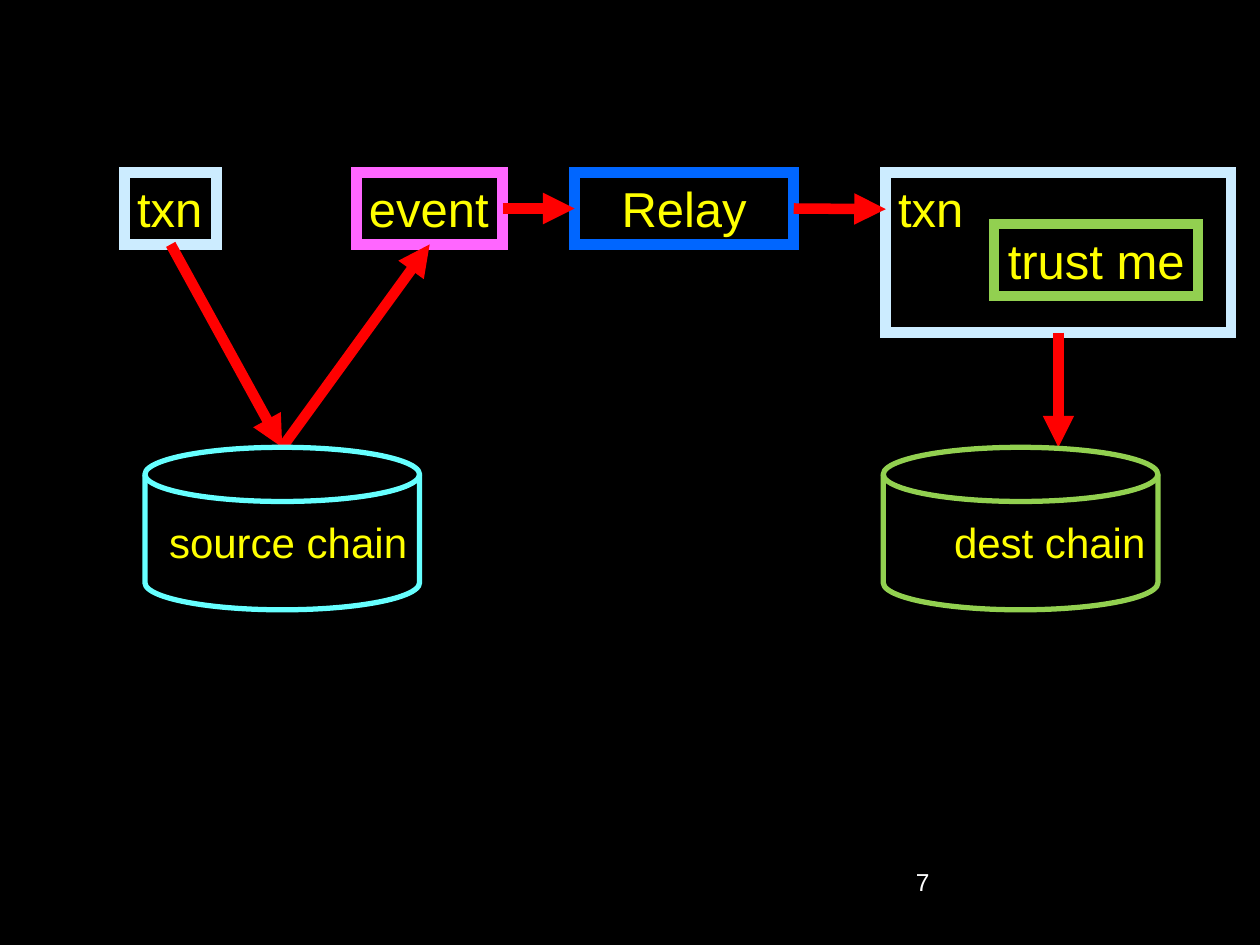
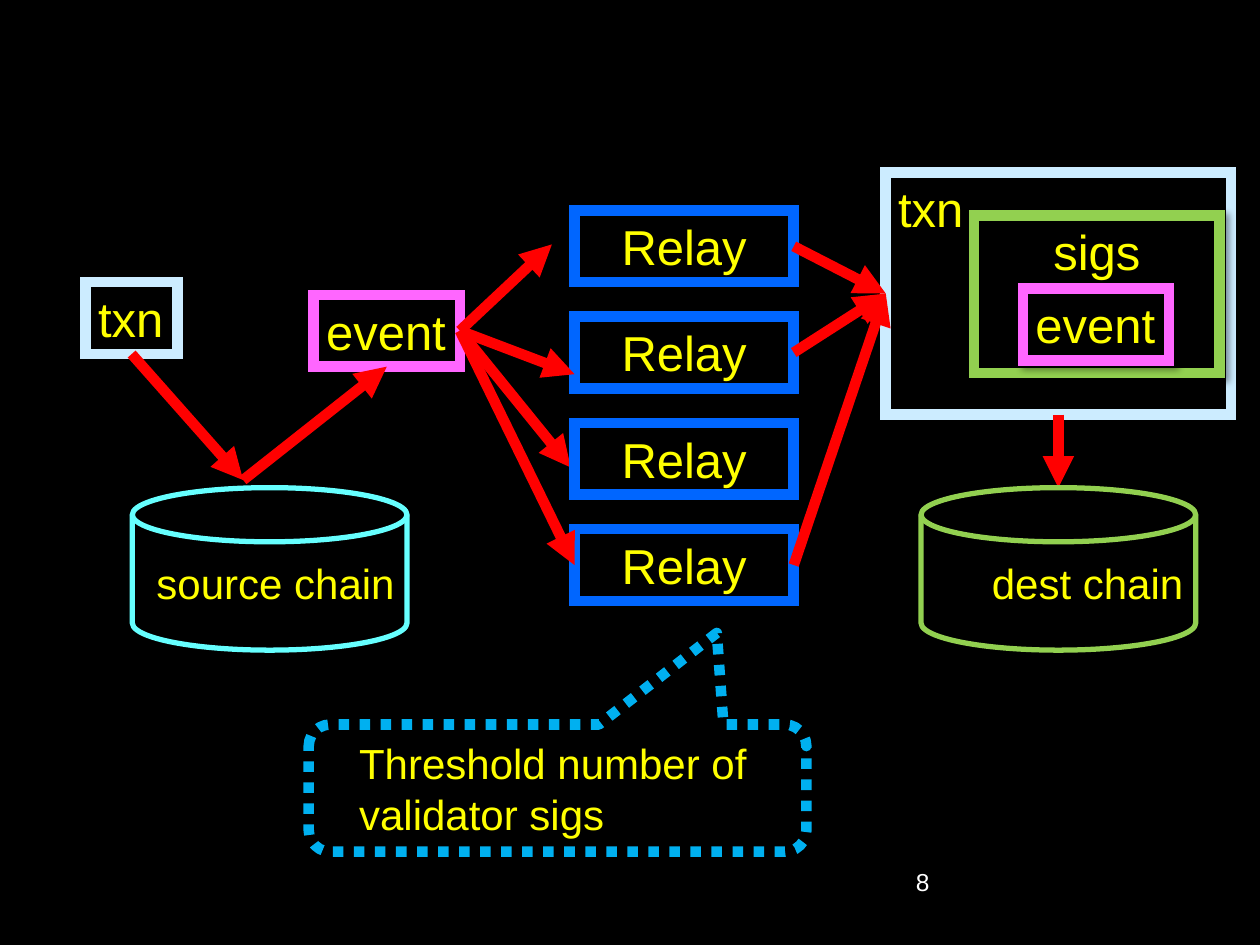
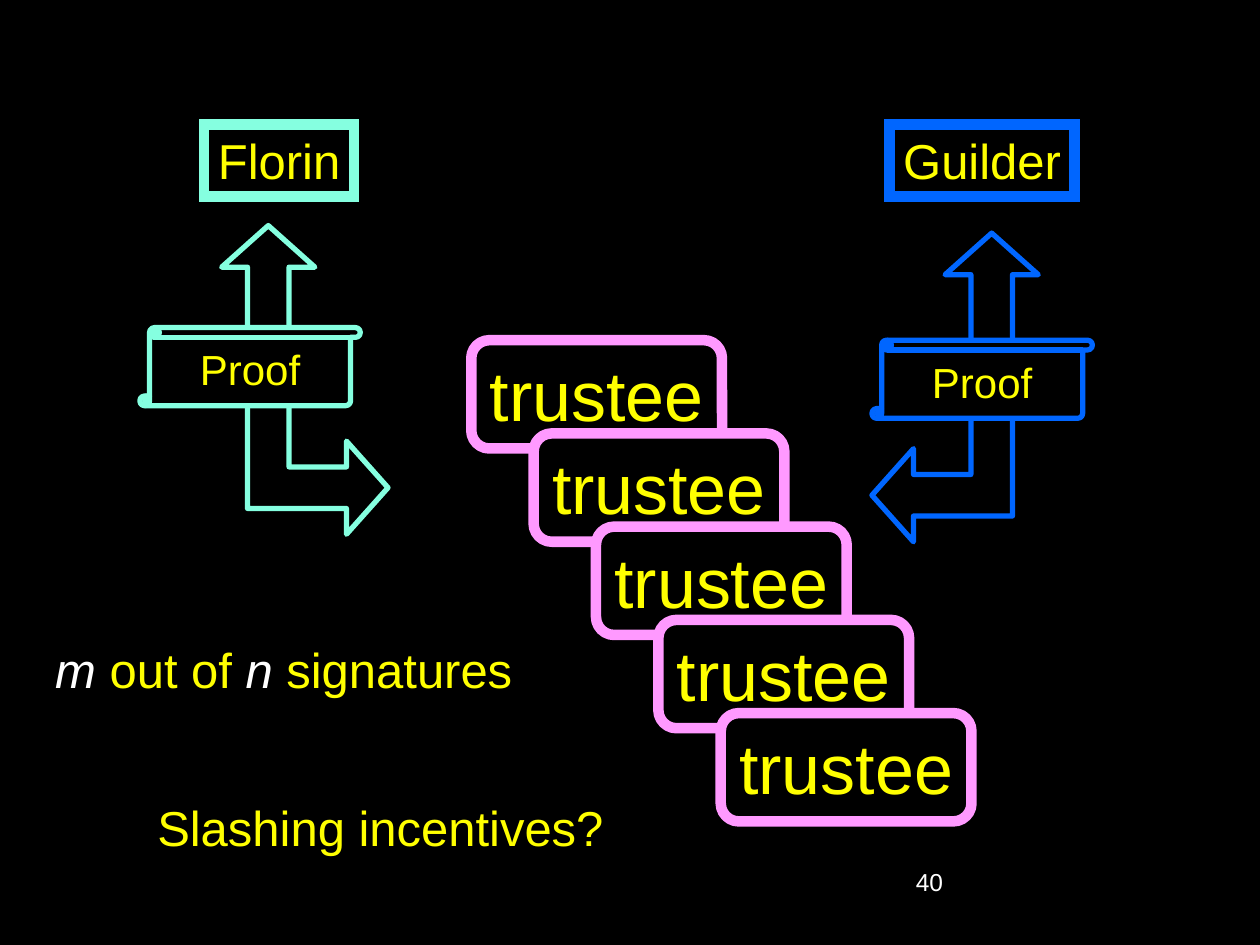
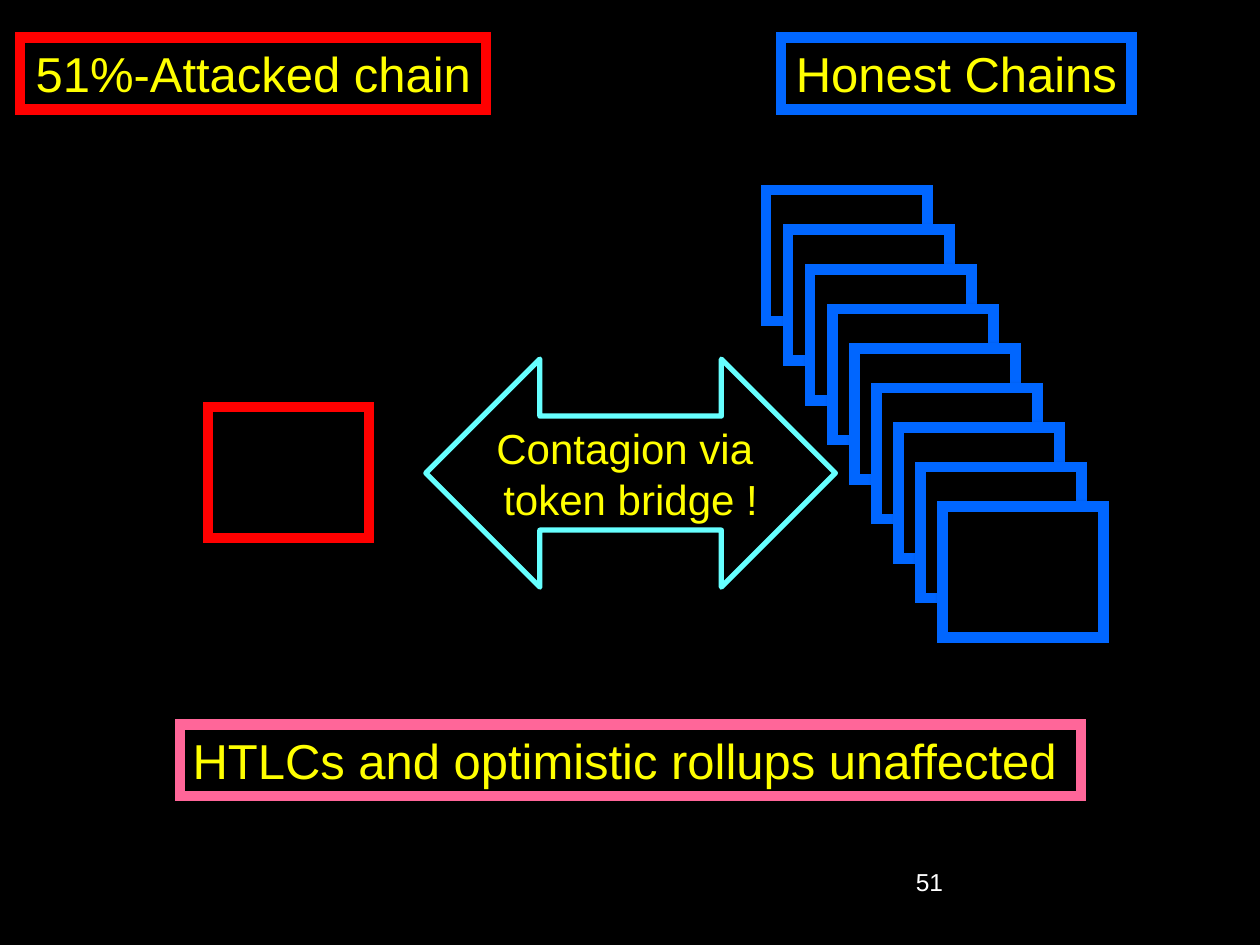
from lxml.etree import SubElement
from pptx import Presentation
from pptx.dml.color import RGBColor
from pptx.enum.dml import MSO_LINE
from pptx.enum.shapes import MSO_CONNECTOR, MSO_SHAPE
from pptx.enum.text import MSO_ANCHOR, MSO_AUTO_SIZE, PP_ALIGN
from pptx.oxml.ns import qn
from pptx.shapes.autoshape import Shape
from pptx.util import Inches, Pt

BLACK = RGBColor(0x00, 0x00, 0x00)
WHITE = RGBColor(0xFF, 0xFF, 0xFF)
YELLOW = RGBColor(0xFF, 0xFF, 0x00)
RED = RGBColor(0xFF, 0x00, 0x00)
BLUE = RGBColor(0x00, 0x66, 0xFF)
SKY = RGBColor(0x00, 0xB0, 0xF0)
PALE_BLUE = RGBColor(0xCC, 0xEC, 0xFF)
CYAN = RGBColor(0x66, 0xFF, 0xFF)
MINT = RGBColor(0x85, 0xFF, 0xE0)
GREEN = RGBColor(0x92, 0xD0, 0x50)
MAGENTA = RGBColor(0xFF, 0x66, 0xFF)
PINK = RGBColor(0xFF, 0x99, 0xFF)
ROSE = RGBColor(0xFF, 0x66, 0x99)

FONT = "Arial"
THICK, THIN = 6, 3
TOP, LEFT, BOTTOM, RIGHT = range(4)
LABEL_HEIGHT = 0.57
EVENT_SIZE = (1.16, LABEL_HEIGHT)
RELAY_SIZE = (1.74, LABEL_HEIGHT)
SMALL_TXN_SIZE = (0.73, LABEL_HEIGHT)
CHAIN_SIZE = (1.28, 1.04)


def style_run(run, size, color=YELLOW, italic=False):
    run.font.name = FONT
    run.font.size = Pt(size)
    run.font.color.rgb = color
    run.font.italic = italic


def write(shape, text, size, color=YELLOW, align=PP_ALIGN.LEFT,
          anchor=MSO_ANCHOR.TOP, wrap=False, grow=True):
    frame = shape.text_frame
    frame.text = text
    frame.word_wrap = wrap
    frame.auto_size = MSO_AUTO_SIZE.SHAPE_TO_FIT_TEXT if grow else MSO_AUTO_SIZE.NONE
    frame.vertical_anchor = anchor
    for paragraph in frame.paragraphs:
        paragraph.alignment = align
        for run in paragraph.runs:
            style_run(run, size, color)


def add_outline(slide, kind, at, size, color, width):
    """Add a black preset shape with a coloured outline."""
    shape = slide.shapes.add_shape(kind, *map(Inches, at + size))
    shape.shadow.inherit = False
    shape.fill.solid()
    shape.fill.fore_color.rgb = BLACK
    shape.line.color.rgb = color
    shape.line.width = Pt(width)
    return shape


def add_soft_shadow(shape):
    effects = shape._element.spPr.find(qn("a:effectLst"))
    shadow = SubElement(effects, qn("a:outerShdw"), blurRad=str(Pt(4)),
                        dist=str(Pt(3)), dir="2700000")
    black = SubElement(shadow, qn("a:srgbClr"), val=str(BLACK))
    SubElement(black, qn("a:alpha"), val="40000")


def add_box(slide, at, size, color, text="", **text_style):
    """Add a sharp-cornered, shadowed rectangle with an optional label."""
    box = add_outline(slide, MSO_SHAPE.RECTANGLE, at, size, color, THICK)
    SubElement(box._element.spPr.get_or_add_ln(), qn("a:miter"), lim="800000")
    add_soft_shadow(box)
    if text:
        write(box, text, 28, **text_style)
    return box


def add_event(slide, at):
    return add_box(slide, at, EVENT_SIZE, MAGENTA, "event")


def add_relay(slide, at):
    return add_box(slide, at, RELAY_SIZE, BLUE, "Relay",
                   align=PP_ALIGN.CENTER, wrap=True)


def add_ledger(slide, at, color, text):
    ledger = add_outline(slide, MSO_SHAPE.FLOWCHART_MAGNETIC_DISK, at,
                         (2.18, 1.29), color, THIN)
    write(ledger, text, 24, align=PP_ALIGN.RIGHT, anchor=MSO_ANCHOR.MIDDLE, grow=False)


def add_arrow(slide, start, end):
    """Draw a red arrow; each end is an (x, y) point or a (box, side) pair."""
    ends = [(0, 0) if isinstance(stop[0], Shape) else stop for stop in (start, end)]
    arrow = slide.shapes.add_connector(
        MSO_CONNECTOR.STRAIGHT, *map(Inches, ends[0] + ends[1]))
    if isinstance(start[0], Shape):
        arrow.begin_connect(*start)
    if isinstance(end[0], Shape):
        arrow.end_connect(*end)
    arrow.line.color.rgb = RED
    arrow.line.width = Pt(THICK)
    properties = arrow._element.spPr
    SubElement(properties.get_or_add_ln(), qn("a:tailEnd"), type="triangle")
    SubElement(properties, qn("a:effectLst"))


def add_text(slide, at, size, text, points, **text_style):
    caption = slide.shapes.add_textbox(*map(Inches, at + size))
    write(caption, text, points, **text_style)
    return caption


def add_proof(slide, arrow_at, scroll_at, color, flipped=False):
    """Add a two-way arrow with a proof scroll across its shaft."""
    arrow = add_outline(slide, MSO_SHAPE.LEFT_UP_ARROW, arrow_at, (1.32, 2.45),
                        color, THIN)
    for index, value in enumerate((0.25, 0.28, 0.25)):
        arrow.adjustments[index] = value
    if flipped:
        arrow._element.spPr.find(qn("a:xfrm")).set("flipH", "1")
    scroll = add_outline(slide, MSO_SHAPE.VERTICAL_SCROLL, scroll_at, (1.75, 0.62),
                         color, THIN)
    write(scroll, "Proof", 24, align=PP_ALIGN.CENTER, anchor=MSO_ANCHOR.MIDDLE, wrap=True)


def spread(first, last, count):
    """Return evenly spaced positions from first to last."""
    return [tuple(a + (b - a) * step / (count - 1) for a, b in zip(first, last))
            for step in range(count)]


def new_slide(deck, number):
    slide = deck.slides.add_slide(deck.slide_layouts[6])
    add_text(slide, (7.17, 6.83), (2.08, 0.5), str(number), 14,
             color=WHITE, wrap=True, grow=False)
    return slide


def build_single_relay(deck):
    slide = new_slide(deck, 7)
    row = 1.37
    source_top = (2.24, 3.55)
    source_txn = add_box(slide, (0.99, row), SMALL_TXN_SIZE, PALE_BLUE, "txn")
    event = add_event(slide, (2.83, row))
    relay = add_relay(slide, (4.56, row))
    dest_txn = add_box(slide, (7.03, row), (2.74, 1.27), PALE_BLUE, "txn", grow=False)
    add_arrow(slide, (source_txn, BOTTOM), source_top)
    add_arrow(slide, source_top, (event, BOTTOM))
    add_arrow(slide, (event, RIGHT), (relay, LEFT))
    add_arrow(slide, (relay, RIGHT), (7.03, 1.66))
    add_arrow(slide, (dest_txn, BOTTOM), (8.4, 3.55))
    add_box(slide, (7.89, 1.78), (1.62, LABEL_HEIGHT), GREEN, "trust me",
            align=PP_ALIGN.CENTER)
    add_ledger(slide, (1.15, 3.55), CYAN, "source chain")
    add_ledger(slide, (7.01, 3.55), GREEN, "dest chain")


def build_validator_relays(deck):
    slide = new_slide(deck, 8)
    source_top = (1.93, 3.81)
    source_txn = add_box(slide, (0.68, 2.24), SMALL_TXN_SIZE, PALE_BLUE, "txn")
    event = add_event(slide, (2.49, 2.34))
    add_arrow(slide, (source_txn, BOTTOM), source_top)
    add_arrow(slide, source_top, (event, BOTTOM))
    dest_txn = add_box(slide, (7.03, 1.37), (2.74, 1.92), PALE_BLUE, "txn", grow=False)
    add_arrow(slide, (event, RIGHT), (4.53, 3.71))
    add_arrow(slide, (dest_txn, BOTTOM), (8.4, 3.87))
    add_box(slide, (7.73, 1.71), (1.95, 1.25), GREEN, "sigs",
            align=PP_ALIGN.CENTER, grow=False)
    add_event(slide, (8.12, 2.29))

    relays = [add_relay(slide, at) for at in spread((4.56, 1.67), (4.56, 4.2), 4)]
    for target in ((relays[3], LEFT), (4.38, 1.94), (4.56, 2.97)):
        add_arrow(slide, (event, RIGHT), target)
    for signer in (relays[0], relays[1], relays[3]):
        add_arrow(slide, (signer, RIGHT), (dest_txn, LEFT))

    threshold = add_outline(slide, MSO_SHAPE.ROUNDED_RECTANGULAR_CALLOUT,
                            (2.45, 5.75), (3.95, 1.01), SKY, THICK)
    threshold.line.dash_style = MSO_LINE.ROUND_DOT
    for index, value in enumerate((0.32, -1.22, 0.17)):
        threshold.adjustments[index] = value
    write(threshold, "Threshold number of validator sigs", 24,
          anchor=MSO_ANCHOR.MIDDLE, wrap=True)
    threshold.text_frame.margin_left = Inches(0.35)
    add_ledger(slide, (1.05, 3.87), CYAN, "source chain")
    add_ledger(slide, (7.31, 3.87), GREEN, "dest chain")


def build_trustees(deck):
    slide = new_slide(deck, 40)
    add_box(slide, (1.62, 0.99), (1.19, LABEL_HEIGHT), MINT, "Florin",
            align=PP_ALIGN.CENTER)
    add_box(slide, (7.06, 0.99), (1.47, LABEL_HEIGHT), BLUE, "Guilder",
            align=PP_ALIGN.CENTER)
    add_proof(slide, (6.92, 1.85), (6.92, 2.7), BLUE)
    add_proof(slide, (1.76, 1.79), (1.11, 2.6), MINT, flipped=True)
    for at in spread((3.74, 2.7), (5.72, 5.66), 5):
        trustee = add_outline(slide, MSO_SHAPE.ROUNDED_RECTANGLE, at, (1.99, 0.86),
                              PINK, THICK)
        write(trustee, "trustee", 40, align=PP_ALIGN.CENTER)

    quorum = add_text(slide, (0.34, 5.03), (3.87, LABEL_HEIGHT), "", 28)
    for text, is_variable in (("m ", True), ("out of ", False),
                              ("n", True), (" signatures", False)):
        run = quorum.text_frame.paragraphs[0].add_run()
        run.text = text
        style_run(run, 28, WHITE if is_variable else YELLOW, italic=is_variable)
    add_text(slide, (1.15, 6.28), (3.87, LABEL_HEIGHT), "Slashing incentives?", 28,
             wrap=True)


def build_contagion(deck):
    slide = new_slide(deck, 51)
    add_box(slide, (0.16, 0.3), (3.7, LABEL_HEIGHT), RED, "51%-Attacked chain",
            align=PP_ALIGN.CENTER)
    add_box(slide, (6.2, 0.3), (2.78, LABEL_HEIGHT), BLUE, "Honest Chains",
            align=PP_ALIGN.CENTER)
    bridge = add_outline(slide, MSO_SHAPE.LEFT_RIGHT_ARROW, (3.38, 2.85), (3.25, 1.81),
                         CYAN, THIN)
    write(bridge, "Contagion via \ntoken bridge !", 24, align=PP_ALIGN.CENTER,
          anchor=MSO_ANCHOR.MIDDLE)
    for at in spread((6.08, 1.51), (7.48, 4.02), 9):
        add_box(slide, at, CHAIN_SIZE, BLUE)
    add_box(slide, (1.65, 3.23), CHAIN_SIZE, RED)
    add_box(slide, (1.43, 5.75), (7.15, LABEL_HEIGHT), ROSE,
            "HTLCs and optimistic rollups unaffected", wrap=True)


def main():
    deck = Presentation()
    deck.slide_width = Inches(10)
    deck.slide_height = Inches(7.5)
    backdrop = deck.slide_master.background.fill
    backdrop.solid()
    backdrop.fore_color.rgb = BLACK
    build_single_relay(deck)
    build_validator_relays(deck)
    build_trustees(deck)
    build_contagion(deck)
    deck.save("out.pptx")


if __name__ == "__main__":
    main()
